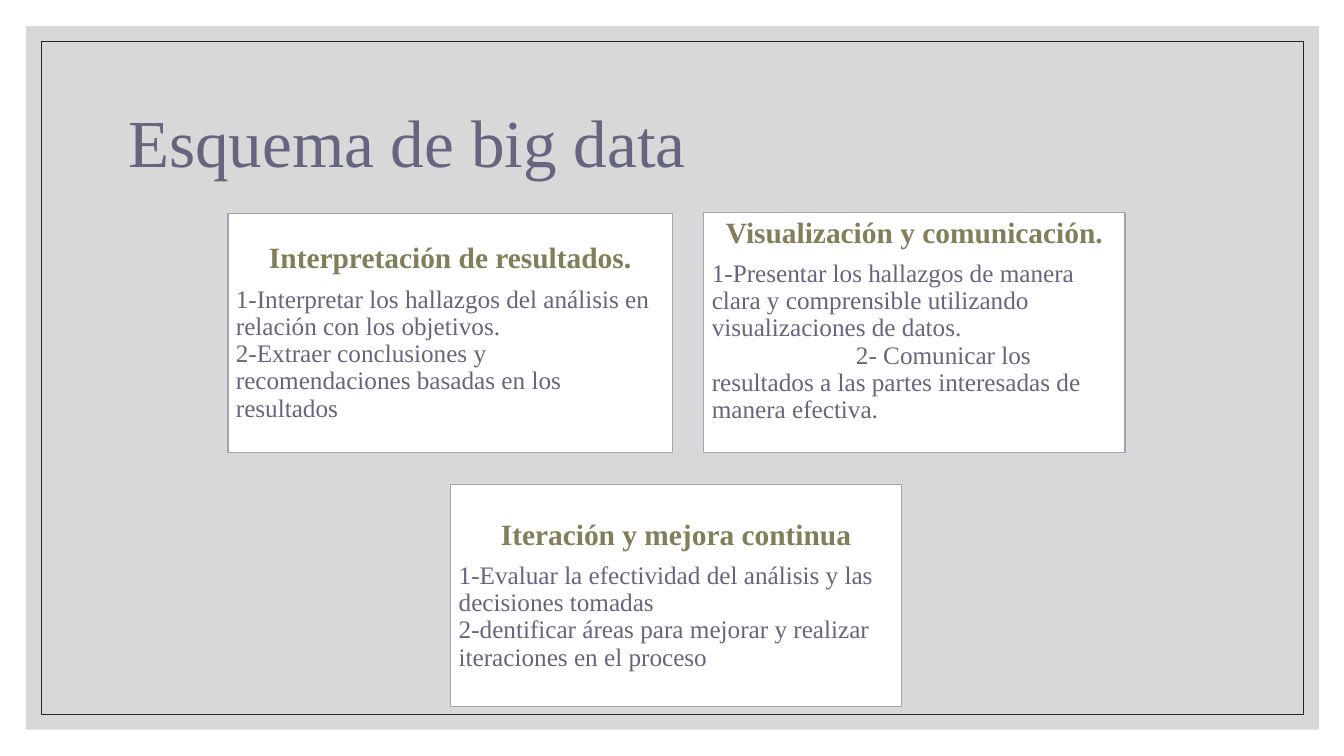
from lxml import etree
from pptx import Presentation
from pptx.dml.color import RGBColor
from pptx.enum import shapes, text
from pptx.oxml.ns import qn
from pptx.util import Inches, Pt

FONT = "Times New Roman"
INK, OLIVE, EDGE = "656580", "817E59", "A2A2B5"
MID, TOP = text.MSO_ANCHOR.MIDDLE, text.MSO_ANCHOR.TOP
CARDS = [
    ((2.26, 2.12, 4.41, 2.37), MID, "Interpretación de resultados.", [
        ("1-Interpretar los hallazgos del análisis en relación con los objetivos.", 0),
        ("2-Extraer conclusiones y recomendaciones basadas en los resultados", 0)]),
    ((6.98, 2.11, 4.18, 2.38), TOP, "Visualización y comunicación.", [
        ("1-Presentar los hallazgos de manera clara y comprensible "
         "utilizando visualizaciones de datos.", 0),
        ("2- Comunicar los resultados a las partes interesadas de manera efectiva.", 1.43)]),
    ((4.47, 4.81, 4.47, 2.2), MID, "Iteración y mejora continua", [
        ("1-Evaluar la efectividad del análisis y las decisiones tomadas", 0),
        ("2-dentificar áreas para mejorar y realizar iteraciones en el proceso", 0)]),
]


def paint(form, color):
    """Set a fill, line or font colour format from a hex string."""
    form.rgb = RGBColor.from_string(color)


def place(shape, box):
    """Move and size a shape in inches."""
    shape.left, shape.top, shape.width, shape.height = map(Inches, box)


def style(para, size, color, bold=False, align=text.PP_ALIGN.LEFT):
    """Format a paragraph and its runs."""
    para.alignment = align
    para.line_spacing = 0.9
    para.space_before = para.space_after = Pt(0)
    for run in para.runs:
        run.font.name, run.font.size, run.font.bold = FONT, Pt(size), bold
        paint(run.font.color, color)


def rect(slide, box, fill=None, line=None, width=1):
    """Add a flat rectangle with optional fill and line."""
    shape = slide.shapes.add_shape(shapes.MSO_SHAPE.RECTANGLE, *map(Inches, box))
    shape.shadow.inherit = False
    if fill:
        shape.fill.solid()
        paint(shape.fill.fore_color, fill)
    else:
        shape.fill.background()
    if line:
        paint(shape.line.color, line)
        shape.line.width = Pt(width)
    else:
        shape.line.fill.background()
    return shape


def frame(slide):
    """Draw the translucent panel and the thin border."""
    panel = rect(slide, (0.26, 0.26, 12.82, 6.98), fill="BFBFBF")
    tint = panel.fill._xPr.find(".//" + qn("a:srgbClr"))
    etree.SubElement(tint, qn("a:alpha"), val="60000")
    rect(slide, (0.41, 0.41, 12.52, 6.68), line="262626", width=0.5)


def head(slide, words):
    """Fill the title placeholder and bring it above the panel."""
    title = slide.shapes.title
    place(title, (1.17, 0.7, 11, 1.5))
    title.text_frame.text = words
    title.text_frame.vertical_anchor = MID
    style(title.text_frame.paragraphs[0], 48, INK)
    slide.shapes._spTree.append(title._element)


def card(slide, box, anchor, name, items):
    """Add a white card with a heading and its numbered lines."""
    body = rect(slide, box, "FFFFFF", EDGE).text_frame
    body.word_wrap = True
    body.vertical_anchor = anchor
    body.margin_left = body.margin_right = Inches(0.08)
    body.margin_top = body.margin_bottom = Inches(0.05)
    body.text = name
    first = body.paragraphs[0]
    style(first, 21, OLIVE, True, text.PP_ALIGN.CENTER)
    first.space_after = Pt(8)
    for words, indent in items:
        para = body.add_paragraph()
        para.text = words
        style(para, 18, INK)
        if indent:
            para._p.get_or_add_pPr().set("indent", str(Inches(indent)))


def main():
    """Build and save the slide."""
    deck = Presentation()
    deck.slide_width, deck.slide_height = Inches(13.33), Inches(7.5)
    slide = deck.slides.add_slide(deck.slide_layouts[5])
    frame(slide)
    head(slide, "Esquema de big data")
    for item in CARDS:
        card(slide, *item)
    deck.save("out.pptx")


if __name__ == "__main__":
    main()
